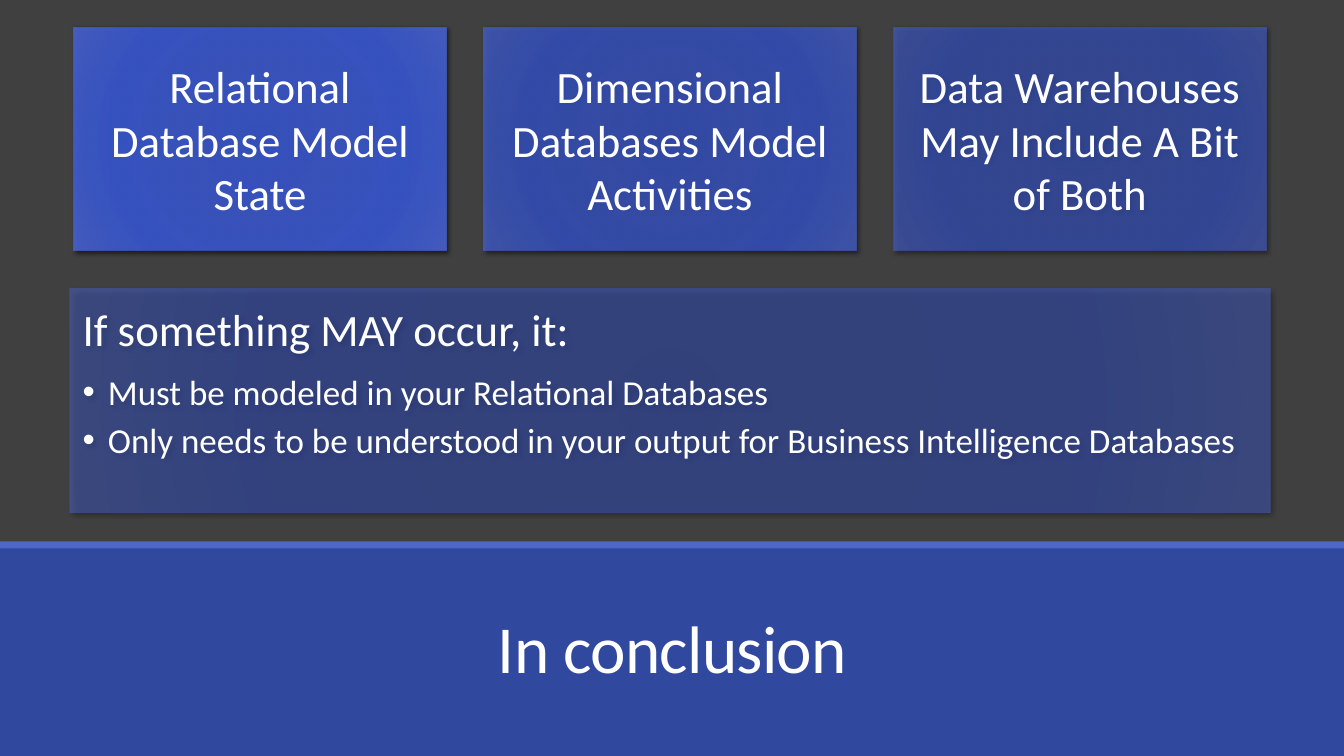
from lxml import etree
from pptx import Presentation
from pptx.dml.color import RGBColor
from pptx.enum.shapes import MSO_SHAPE
from pptx.enum.text import MSO_ANCHOR, MSO_AUTO_SIZE, PP_ALIGN
from pptx.oxml import parse_xml
from pptx.oxml.ns import nsdecls, qn
from pptx.util import Inches, Pt

RECT = MSO_SHAPE.RECTANGLE
TOP, MIDDLE, BOTTOM = MSO_ANCHOR.TOP, MSO_ANCHOR.MIDDLE, MSO_ANCHOR.BOTTOM
LEFT, CENTER = PP_ALIGN.LEFT, PP_ALIGN.CENTER
NO_AUTOFIT = MSO_AUTO_SIZE.NONE

WHITE = RGBColor(0xFF, 0xFF, 0xFF)
CHARCOAL = RGBColor(0x40, 0x40, 0x40)
NAVY = RGBColor(0x31, 0x48, 0x9F)
ACCENT = RGBColor(0x4E, 0x67, 0xC8)
GLOW = [(0, RGBColor(0x38, 0x56, 0xCB)), (34, RGBColor(0x3B, 0x58, 0xCB)),
        (70, RGBColor(0x39, 0x58, 0xD1)), (100, RGBColor(0x48, 0x63, 0xCE))]

SLIDE_W, SLIDE_H = 13.33, 7.5
CARD_W, CARD_H = 3.7, 2.22
CARD_LEFT, CARD_TOP, CARD_GAP = 0.73, 0.27, 0.365
CARD_STEP = CARD_W + CARD_GAP
CARDS = [("Relational Database Model State", 90),
         ("Dimensional Databases Model Activities", 77),
         ("Data Warehouses May Include A Bit of Both", 63)]
PANEL_HEADING = "If something MAY occur, it:"
PANEL_BULLETS = [
    "Must be modeled in your Relational Databases",
    "Only needs to be understood in your output for Business Intelligence Databases",
]


class SlideBuilder:
    font = {"name": "Calibri"}

    def __init__(self, prs):
        self.s = prs.slides.add_slide(prs.slide_layouts[1])
        fill = self.s.background.fill
        fill.solid()
        fill.fore_color.rgb = CHARCOAL

    def band(self, top, height, color):
        sp = self.s.shapes.add_shape(RECT, 0, Inches(top), Inches(SLIDE_W), Inches(height))
        sp.fill.solid()
        sp.fill.fore_color.rgb = color
        sp.line.fill.background()
        sp.shadow.inherit = False

    def place(self, sp, left, top, width, height):
        box = {"left": left, "top": top, "width": width, "height": height}
        for name, value in box.items():
            setattr(sp, name, Inches(value))

    def frame(self, sp, anchor, inset):
        tf = sp.text_frame
        style = {"word_wrap": True, "auto_size": NO_AUTOFIT, "vertical_anchor": anchor}
        for side in ("left", "top", "right", "bottom"):
            style[f"margin_{side}"] = Inches(inset)
        for name, value in style.items():
            setattr(tf, name, value)
        return tf

    def add_text(self, p, text, size, align=LEFT, after=0, spacing=1.0, bullet=False):
        layout = {"alignment": align, "space_before": Pt(0),
                  "space_after": Pt(after), "line_spacing": spacing}
        for name, value in layout.items():
            setattr(p, name, value)
        pPr = p._p.get_or_add_pPr()
        indent = Inches(0.25) if bullet else 0
        pPr.set("marL", str(indent))
        pPr.set("indent", str(-indent))
        if bullet:
            etree.SubElement(pPr, qn("a:buChar"), char="•")
        else:
            etree.SubElement(pPr, qn("a:buNone"))
        r = p.add_run()
        r.text = text
        for name, value in {**self.font, "size": Pt(size)}.items():
            setattr(r.font, name, value)
        r.font.color.rgb = WHITE
        return r

    def glow(self, sp, opacity):
        """Give the shape a translucent radial fill and a soft shadow."""
        stops = "".join(
            f'<a:gs pos="{pos * 1000}"><a:srgbClr val="{color}">'
            f'<a:alpha val="{opacity * 1000}"/></a:srgbClr></a:gs>' for pos, color in GLOW)
        gradient = parse_xml(
            f'<a:gradFill {nsdecls("a")} rotWithShape="1"><a:gsLst>{stops}</a:gsLst>'
            '<a:path path="circle"><a:fillToRect l="100000" t="100000" r="100000" '
            'b="100000"/></a:path></a:gradFill>')
        shadow = parse_xml(
            f'<a:outerShdw {nsdecls("a")} blurRad="{Pt(3)}" dist="{Pt(2)}" dir="2700000" '
            'algn="ctr" rotWithShape="0"><a:srgbClr val="000000">'
            '<a:alpha val="60000"/></a:srgbClr></a:outerShdw>')
        sp.fill.background()
        sp.line.fill.background()
        sp.shadow.inherit = False
        spPr = sp._element.spPr
        spPr.replace(spPr.find(qn("a:noFill")), gradient)
        spPr.find(qn("a:effectLst")).append(shadow)

    def card(self, left, text, opacity):
        sp = self.s.shapes.add_shape(RECT, Inches(left), Inches(CARD_TOP),
                                     Inches(CARD_W), Inches(CARD_H))
        self.glow(sp, opacity)
        tf = self.frame(sp, MIDDLE, 0.13)
        self.add_text(tf.paragraphs[0], text, 32, align=CENTER)

    def panel(self, heading, bullets):
        sp = self.s.placeholders[1]
        self.place(sp, 0.69, 2.86, 11.91, CARD_H)
        self.glow(sp, 50)
        tf = self.frame(sp, TOP, 0.13)
        self.add_text(tf.paragraphs[0], heading, 32, after=11.2)
        for text in bullets:
            p = tf.add_paragraph()
            p.level = 1
            self.add_text(p, text, 25, after=3.75, bullet=True)

    def title(self, text):
        sp = self.s.shapes.title
        self.place(sp, 1.17, 5.74, 11, 1.13)
        tf = self.frame(sp, BOTTOM, 0.05)
        r = self.add_text(tf.paragraphs[0], text, 48, align=CENTER, spacing=0.85)
        r.font._element.set("spc", "-50")
        self.s.shapes._spTree.append(sp._element)  # in front of the band


def main():
    prs = Presentation()
    prs.slide_width, prs.slide_height = Inches(SLIDE_W), Inches(SLIDE_H)
    slide = SlideBuilder(prs)
    slide.band(5.42, 2.08, NAVY)
    slide.band(5.37, 0.07, ACCENT)
    for i, (text, opacity) in enumerate(CARDS):
        slide.card(CARD_LEFT + i * CARD_STEP, text, opacity)
    slide.panel(PANEL_HEADING, PANEL_BULLETS)
    slide.title("In conclusion")
    prs.save("out.pptx")


if __name__ == "__main__":
    main()
